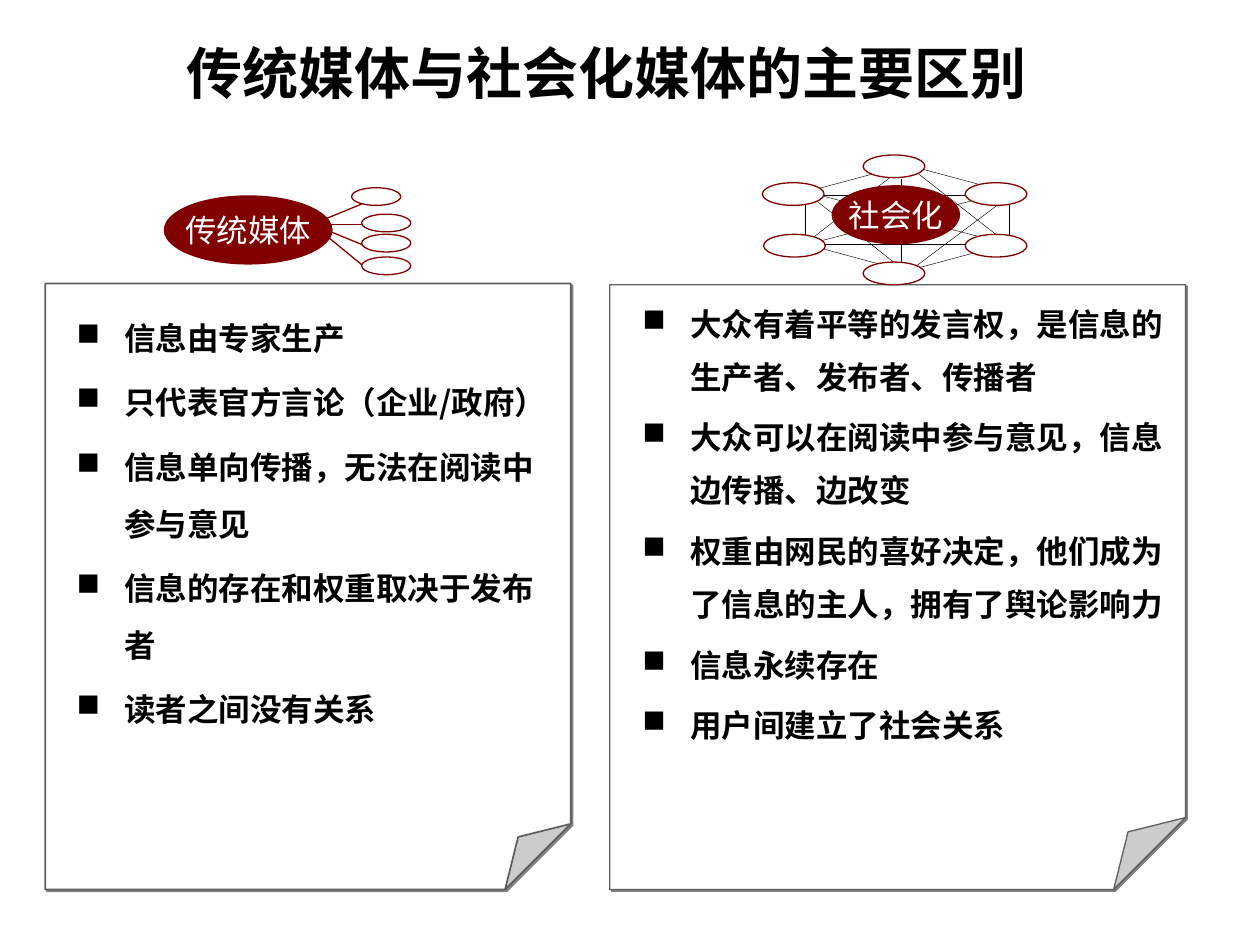
from typing import NamedTuple, Optional

from lxml.etree import SubElement
from pptx import Presentation
from pptx.dml.color import RGBColor
from pptx.enum.shapes import MSO_CONNECTOR, MSO_SHAPE
from pptx.enum.text import MSO_ANCHOR, PP_ALIGN
from pptx.oxml.ns import qn
from pptx.shapes.autoshape import Shape
from pptx.util import Pt

PX = 9144  # 100 px to the inch
COLORS = {"text": "000000", "paper": "FFFFFF", "edge": "5F5F5F",
          "shadow": "808080", "accent": "800000"}
CJK = "Noto Sans CJK SC"


class Box(NamedTuple):
    left: int
    top: int
    width: int
    height: int

    def emu(self) -> list[int]:
        return [value * PX for value in self]


class Panel(NamedTuple):
    page: Box
    edge_width: float
    text: Box
    line_spacing: float
    points: list[str]


class Segment(NamedTuple):
    x1: int
    y1: int
    x2: int
    y2: int


PANELS = [
    Panel(Box(484, 226, 457, 480), 0.75, Box(500, 225, 441, 449), 1.4, [
        "大众有着平等的发言权，是信息的生产者、发布者、传播者",
        "大众可以在阅读中参与意见，信息边传播、边改变",
        "权重由网民的喜好决定，他们成为了信息的主人，拥有了舆论影响力",
        "信息永续存在",
        "用户间建立了社会关系",
    ]),
    Panel(Box(36, 225, 417, 481), 1, Box(51, 233, 393, 465), 1.5, [
        "信息由专家生产",
        "只代表官方言论（企业/政府）",
        "信息单向传播，无法在阅读中参与意见",
        "信息的存在和权重取决于发布者",
        "读者之间没有关系",
    ]),
]

AUDIENCE = [Box(279, 149, 39, 14)] + [Box(287, top, 39, 14) for top in (170, 186, 204)]
BROADCASTS = [Segment(248, 178, 287, end) for end in (162, 178, 194, 210)]
PEERS = [Box(left, top, 49, 18) for left, top in
         ((605, 145), (766, 145), (766, 186), (606, 186), (685, 208), (685, 123))]
PEER_LINKS = [
    Segment(720, 131, 798, 192), Segment(719, 131, 641, 192),
    Segment(640, 153, 718, 215), Segment(802, 155, 722, 215),
    Segment(801, 160, 801, 194), Segment(639, 160, 639, 194),
    Segment(719, 131, 641, 152), Segment(720, 131, 798, 152),
    Segment(718, 215, 640, 194), Segment(720, 215, 798, 194),
    Segment(641, 194, 799, 152), Segment(801, 194, 639, 152),
    Segment(715, 142, 715, 210), Segment(644, 194, 801, 194),
    Segment(636, 155, 801, 155),
]


def color(name: str) -> RGBColor:
    return RGBColor.from_string(COLORS[name])


def set_font(para, name: str, size: int, ink: str, bold: bool = False) -> None:
    font = para.font
    font.size, font.bold, font.name = Pt(size), bold, name
    font.color.rgb = color(ink)
    defaults = para._p.pPr.find(qn("a:defRPr"))
    SubElement(defaults, qn("a:ea"), typeface=CJK)


def add_outlined(shapes, kind: MSO_SHAPE, box: Box, fill: Optional[str],
                 edge: Optional[str], edge_width: float = 0.75) -> Shape:
    """Add a preset shape; None leaves its fill or its line empty."""
    shape = shapes.add_shape(kind, *box.emu())
    shape.shadow.inherit = False
    for target, name in ((shape.fill, fill), (shape.line.fill, edge)):
        if name is None:
            target.background()
        else:
            target.solid()
            target.fore_color.rgb = color(name)
    if edge:
        shape.line.width = Pt(edge_width)
    return shape


def add_hub(shapes, box: Box, label: str) -> None:
    hub = add_outlined(shapes, MSO_SHAPE.OVAL, box, "accent", None)
    frame = hub.text_frame
    frame.word_wrap = False
    frame.vertical_anchor = MSO_ANCHOR.MIDDLE
    frame.margin_left = frame.margin_right = frame.margin_top = frame.margin_bottom = 0
    para = frame.paragraphs[0]
    para.text = label
    para.alignment = PP_ALIGN.CENTER
    set_font(para, CJK, 18, "paper")


def add_segments(shapes, segments: list[Segment], ink: str, width: float) -> None:
    for segment in segments:
        line = shapes.add_connector(MSO_CONNECTOR.STRAIGHT, *(v * PX for v in segment))
        line.line.color.rgb = color(ink)
        line.line.width = Pt(width)
        SubElement(line._element.spPr, qn("a:effectLst"))


def add_nodes(shapes, boxes: list[Box], fill: Optional[str]) -> None:
    for box in boxes:
        add_outlined(shapes, MSO_SHAPE.OVAL, box, fill, "accent")


def add_page(shapes, panel: Panel) -> None:
    """Add the folded sheet with its hard diagonal shadow."""
    page = add_outlined(shapes, MSO_SHAPE.FOLDED_CORNER, panel.page, "paper",
                        "edge", panel.edge_width)
    properties = page._element.spPr
    guides = properties.find(f"{qn('a:prstGeom')}/{qn('a:avLst')}")
    SubElement(guides, qn("a:gd"), name="adj", fmla="val 12500")
    effects = properties.find(qn("a:effectLst"))
    shadow = SubElement(effects, qn("a:outerShdw"), blurRad="0", dist=str(int(Pt(1.4))),
                        dir="2700000", algn="ctr", rotWithShape="0")
    SubElement(shadow, qn("a:srgbClr"), val=COLORS["shadow"])


def add_bullet(para) -> None:
    properties = para._p.get_or_add_pPr()
    properties.set("marL", str(38 * PX))
    properties.set("indent", str(-38 * PX))
    tint = SubElement(properties, qn("a:buClr"))
    SubElement(tint, qn("a:srgbClr"), val=COLORS["text"])
    SubElement(properties, qn("a:buChar"), char="■")


def add_points(shapes, panel: Panel) -> None:
    frame = shapes.add_textbox(*panel.text.emu()).text_frame
    frame.word_wrap = True
    for index, point in enumerate(panel.points):
        para = frame.add_paragraph() if index else frame.paragraphs[0]
        para.text = point
        add_bullet(para)
        para.line_spacing = panel.line_spacing
        para.space_before = Pt(4.5 if index else 0)
        set_font(para, CJK, 18, "text", bold=True)


def add_title(shapes, box: Box, title: str) -> None:
    frame = shapes.add_textbox(*box.emu()).text_frame
    frame.word_wrap = True
    frame.vertical_anchor = MSO_ANCHOR.MIDDLE
    para = frame.paragraphs[0]
    para.text = title
    set_font(para, "Arial", 32, "text", bold=True)


def main() -> None:
    deck = Presentation()
    deck.slide_width, deck.slide_height = 1000 * PX, 750 * PX
    shapes = deck.slides.add_slide(deck.slide_layouts[6]).shapes

    for panel in PANELS:
        add_page(shapes, panel)
    add_title(shapes, Box(138, 30, 804, 54), "传统媒体与社会化媒体的主要区别")

    broadcast = shapes.add_group_shape().shapes
    add_hub(broadcast, Box(130, 155, 134, 55), "传统媒体")
    add_segments(broadcast, BROADCASTS, "accent", 0.75)
    add_nodes(broadcast, AUDIENCE, None)

    network = shapes.add_group_shape().shapes
    add_segments(network, PEER_LINKS, "text", 0.25)
    add_nodes(network, PEERS, "paper")
    add_hub(network, Box(660, 147, 102, 47), "社会化")

    for panel in reversed(PANELS):
        add_points(shapes, panel)
    deck.save("out.pptx")


if __name__ == "__main__":
    main()
